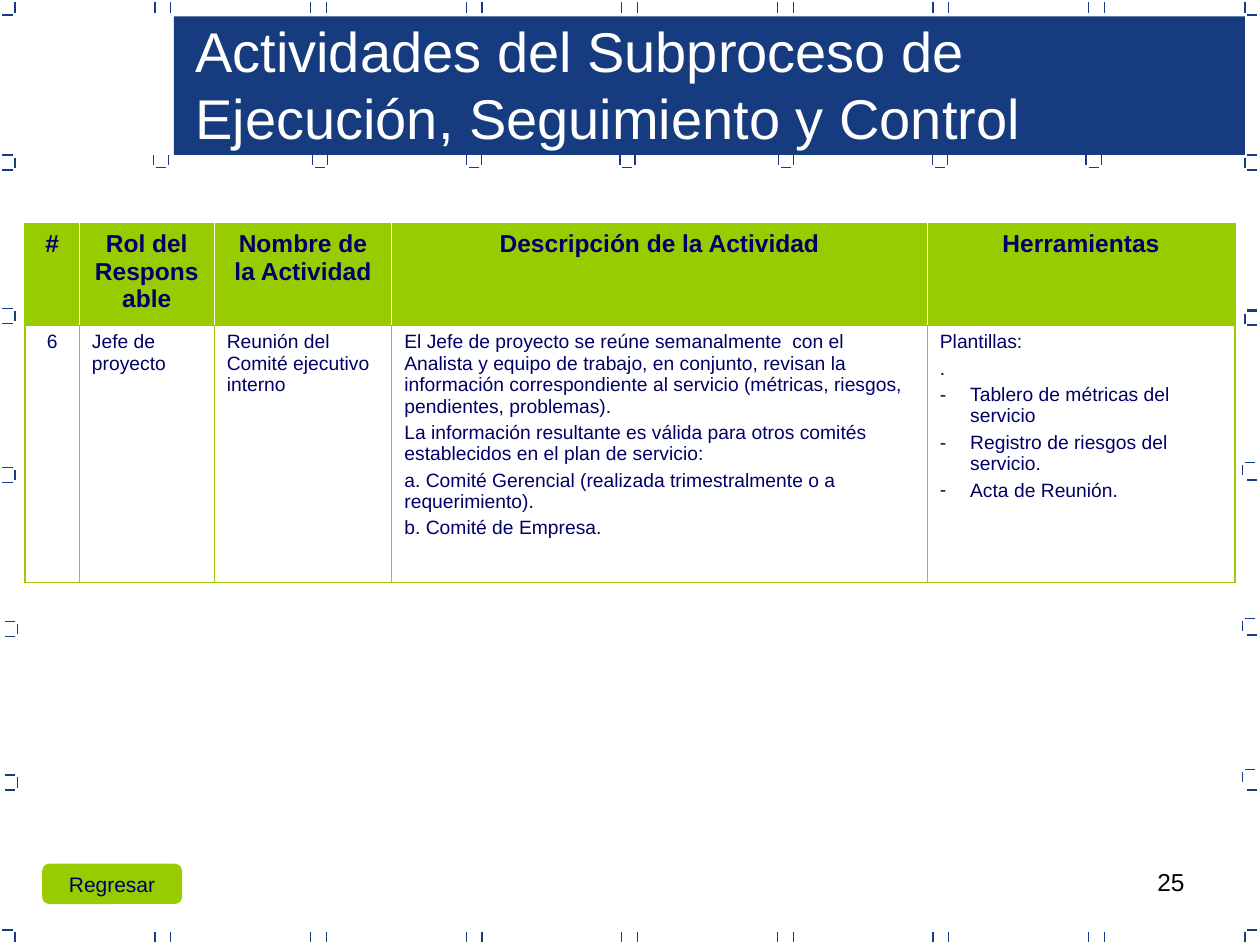
from dataclasses import dataclass
from typing import Optional

from lxml.etree import SubElement
from pptx import Presentation
from pptx.dml.color import RGBColor
from pptx.enum.shapes import MSO_CONNECTOR, MSO_SHAPE
from pptx.enum.text import MSO_ANCHOR, PP_ALIGN
from pptx.oxml.ns import qn
from pptx.util import Emu, Inches, Pt

COLORS = {"blue": "163B7F", "green": "99CC00", "navy": "000066",
          "white": "FFFFFF", "black": "000000"}
FONT = "Arial"
GRID_COLUMNS, GRID_ROWS = 500, 375
DASH = 4

prs = Presentation()
prs.slide_width, prs.slide_height = Inches(10), Inches(7.5)
slide = prs.slides.add_slide(prs.slide_layouts[5])


@dataclass
class Area:
    column: float
    row: float
    columns: float
    rows: float

    def box(self) -> tuple[Emu, Emu, Emu, Emu]:
        return across(self.column), down(self.row), across(self.columns), down(self.rows)


@dataclass
class Entry:
    text: str
    dashed: bool = False


@dataclass
class Activity:
    heading: str
    columns: float
    entries: list[Entry]
    align: PP_ALIGN = PP_ALIGN.LEFT


@dataclass
class Edge:
    color: str
    points: float


def across(columns: float) -> Emu:
    return Emu(round(prs.slide_width * columns / GRID_COLUMNS))


def down(rows: float) -> Emu:
    return Emu(round(prs.slide_height * rows / GRID_ROWS))


def rgb(name: str) -> RGBColor:
    return RGBColor.from_string(COLORS[name])


def style(paragraph, size: float, color: str, align: Optional[PP_ALIGN] = None,
          bold: bool = False) -> None:
    paragraph.alignment = align
    font = paragraph.font
    font.name, font.size, font.bold = FONT, Pt(size), bold
    font.color.rgb = rgb(color)


def dash(column: float, row: float, horizontal: bool) -> None:
    end = (column + DASH, row) if horizontal else (column, row + DASH)
    line = slide.shapes.add_connector(MSO_CONNECTOR.STRAIGHT, across(column), down(row),
                                      across(end[0]), down(end[1]))
    line.line.color.rgb, line.line.width = rgb("blue"), Pt(0.75)
    SubElement(line.element.spPr, qn("a:effectLst"))


def draw_frame() -> None:
    """Dashed marks along the four edges and under the banner."""
    for i in range(7):
        for column in (61.5 + 61.75 * i, 67.75 + 61.75 * i):
            for row in (1, 370):
                dash(column, row, False)
    for edge, corner in ((1, 6), (495, 494)):
        for horizontal_row, vertical_row in ((6, 1), (369, 370)):
            dash(edge, horizontal_row, True)
            dash(corner, vertical_row, False)
    for column, row in ((1, 61.5), (1, 122.5), (1, 185.5), (2, 246.5), (2, 307.5)):
        dash(column, row, True)
        dash(column + 5, row + 1, False)
        dash(column, row + 6, True)
    for column, row in ((494, 61.5), (494, 123.5), (493, 183.5), (493, 245.5), (493, 305.5)):
        dash(column, row + 1, False)
        dash(column + 1, row, True)
    for i in range(5):
        dash(495, 67.5 + 61.5 * i, True)
    dash(495, 123, True)
    for column in (61, 124, 185, 246, 309, 370, 431):
        dash(column, 61.5, False)
        dash(column + 6, 61.5, False)
        dash(column + 1, 66.5, True)


def draw_block(kind: MSO_SHAPE, area: Area, color: str):
    block = slide.shapes.add_shape(kind, *area.box())
    block.shadow.inherit = False
    block.fill.solid()
    block.fill.fore_color.rgb = rgb(color)
    block.line.color.rgb, block.line.width = rgb(color), Pt(0.75)
    return block


def draw_title(text: str) -> None:
    title = slide.shapes.title
    title.left, title.top, title.width, title.height = Area(72.5, 4, 417.5, 58.5).box()
    title.element.getparent().append(title.element)
    title.text_frame.text = text
    title.text_frame.vertical_anchor = MSO_ANCHOR.TOP
    style(title.text_frame.paragraphs[0], 32, "white", PP_ALIGN.LEFT)


def set_borders(cell, edges: dict[str, Edge]) -> None:
    properties = cell._tc.get_or_add_tcPr()
    for side, edge in edges.items():
        line = SubElement(properties, qn(f"a:ln{side}"), w=str(Pt(edge.points)))
        fill = SubElement(line, qn("a:solidFill"))
        SubElement(fill, qn("a:srgbClr"), val=COLORS[edge.color])


def add_dash_bullet(paragraph) -> None:
    properties = paragraph._p.get_or_add_pPr()
    indent = across(12)
    properties.set("marL", str(indent))
    properties.set("indent", str(-indent))
    SubElement(properties, qn("a:buFont"), typeface=FONT)
    SubElement(properties, qn("a:buChar"), char="-")


def write_entries(cell, entries: list[Entry], size: float, align: PP_ALIGN,
                  bold: bool = False) -> None:
    for i, entry in enumerate(entries):
        paragraph = cell.text_frame.add_paragraph() if i else cell.text_frame.paragraphs[0]
        paragraph.text = entry.text
        if i:
            paragraph.space_before = Pt(2.8)
        if entry.dashed:
            add_dash_bullet(paragraph)
        style(paragraph, size, "navy", align, bold)


def draw_activities(activities: list[Activity]) -> None:
    area = Area(10, 89, sum(a.columns for a in activities), 142)
    table = slide.shapes.add_table(2, len(activities), *area.box()).table
    table.first_row = table.horz_banding = False
    table.rows[0].height, table.rows[1].height = down(40), down(102)
    outer, rule = Edge("green", 1.08), Edge("green", 0.75)
    last = len(activities) - 1
    for i, activity in enumerate(activities):
        table.columns[i].width = across(activity.columns)
        heading, body = table.cell(0, i), table.cell(1, i)
        for cell, inner, top in ((heading, Edge("white", 0.75), outer),
                                 (body, Edge("green", 0.45), rule)):
            set_borders(cell, {"L": inner if i else outer,
                               "R": inner if i < last else outer,
                               "T": top, "B": rule})
        heading.fill.solid()
        heading.fill.fore_color.rgb = rgb("green")
        body.fill.background()
        write_entries(heading, [Entry(activity.heading)], 14, PP_ALIGN.CENTER, True)
        write_entries(body, activity.entries, 11, activity.align)


def draw_footer(back_label: str, page: str) -> None:
    back = draw_block(MSO_SHAPE.FLOWCHART_ALTERNATE_PROCESS, Area(17, 343, 55, 15.5), "green")
    back.text_frame.text = back_label
    back.text_frame.word_wrap = False
    back.text_frame.vertical_anchor = MSO_ANCHOR.MIDDLE
    style(back.text_frame.paragraphs[0], 12, "navy", PP_ALIGN.CENTER)
    number = slide.shapes.add_textbox(*Area(358.5, 341.5, 116.5, 26).box())
    number.text_frame.word_wrap = True
    number.text_frame.text = page
    style(number.text_frame.paragraphs[0], 14, "black", PP_ALIGN.RIGHT)


ACTIVITIES = [
    Activity("#", 21.5, [Entry("6")], PP_ALIGN.CENTER),
    Activity("Rol del Responsable", 53.5, [Entry("Jefe de proyecto")]),
    Activity("Nombre de la Actividad", 70.5, [Entry("Reunión del Comité ejecutivo interno")]),
    Activity("Descripción de la Actividad", 212.5, [
        Entry("El Jefe de proyecto se reúne semanalmente  con el Analista y equipo de trabajo, "
              "en conjunto, revisan la información correspondiente al servicio (métricas, "
              "riesgos, pendientes, problemas)."),
        Entry("La información resultante es válida para otros comités establecidos en el plan "
              "de servicio:"),
        Entry("a. Comité Gerencial (realizada trimestralmente o a requerimiento)."),
        Entry("b. Comité de Empresa.")]),
    Activity("Herramientas", 122, [
        Entry("Plantillas:"), Entry("."),
        Entry("Tablero de métricas del servicio", True),
        Entry("Registro de riesgos del servicio.", True),
        Entry("Acta de Reunión.", True)]),
]

draw_frame()
draw_block(MSO_SHAPE.RECTANGLE, Area(69, 6.5, 425, 55), "blue").line.fill.background()
draw_activities(ACTIVITIES)
draw_title("Actividades del Subproceso de Ejecución, Seguimiento y Control")
draw_footer("Regresar", "25")
prs.save("out.pptx")
